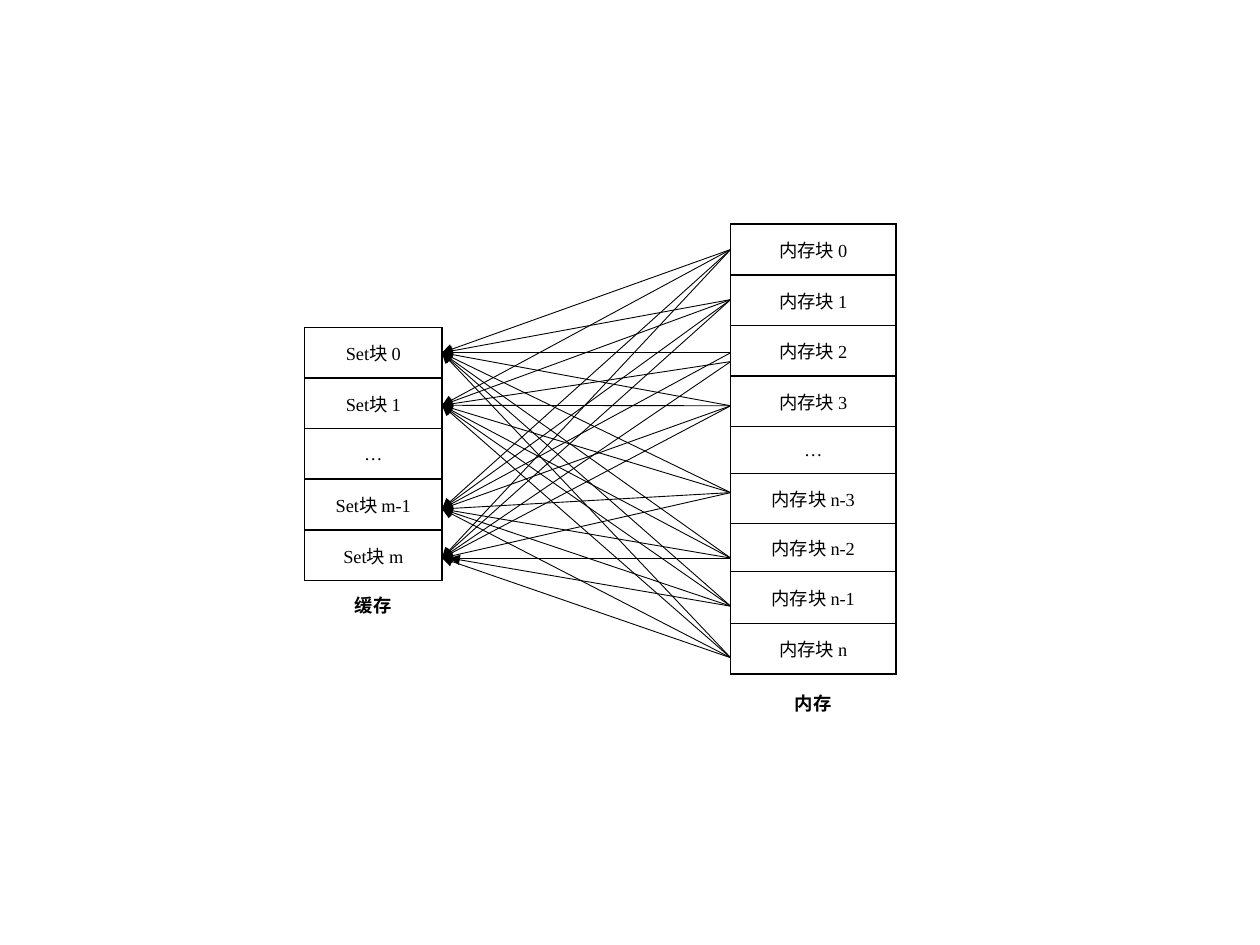
from itertools import product

from pptx import Presentation
from pptx.dml.color import RGBColor as Rgb
from pptx.enum.shapes import MSO_CONNECTOR as Conn
from pptx.enum.text import MSO_ANCHOR as Anchor, PP_ALIGN as Align
from pptx.oxml.ns import qn
from pptx.util import Cm, Pt
from lxml.etree import SubElement as Sub

INK = {"line": "000000", "text": "000000", "fill": "FFFFFF"}
SERIF, SANS = "Times New Roman", "Noto Sans CJK SC"

# Boxes are left, top, width, in centimetres
CACHE = (6.14, 6.6, 2.77)
MEMORY = (14.73, 4.52, 3.33)
SETS = ["Set块 0", "Set块 1", "…", "Set块 m-1", "Set块 m"]
BLOCKS = ["内存块 " + n for n in ("0", "1", "2", "3", "n-3", "n-2", "n-1", "n")]
BLOCKS.insert(4, "…")
ROW = 1.02
HEIGHTS = [ROW] * 4 + [0.95, 1, 0.97, 1.05, ROW]

# Arrow ends, measured down from the top of each box
HEADS = [0.51, 1.57, 3.66, 4.65]
TAILS = [0.51, 1.52, 2.59, 3.66, 5.41, 6.73, 7.7, 8.74]
LOW_TAIL = 2.77  # block 2 leaves lower for every second set


def style(par, font, bold=False):
    par.alignment = Align.CENTER
    for run in par.runs:
        run.font.size = Pt(10.5)
        run.font.bold = bold
        run.font.name = font
        run.font.color.rgb = Rgb.from_string(INK["text"])
        Sub(run._r.get_or_add_rPr(), qn("a:ea"), typeface=SANS)


def border(cell):
    props = cell._tc.get_or_add_tcPr()
    for side in ("lnL", "lnR", "lnT", "lnB"):
        line = Sub(props, qn("a:" + side), w=str(Pt(1)))
        Sub(Sub(line, qn("a:solidFill")), qn("a:srgbClr"), val=INK["line"])


def stack(slide, box, names, heights):
    """Draw a one-column table of blocks."""
    left, top, width = box
    frame = slide.shapes.add_table(len(names), 1, Cm(left), Cm(top),
                                   Cm(width), Cm(sum(heights)))
    table = frame.table
    table.first_row = table.horz_banding = False
    for row, name, height in zip(table.rows, names, heights):
        row.height = Cm(height)
        cell = row.cells[0]
        cell.margin_left = cell.margin_right = Cm(0.18)
        cell.margin_top = cell.margin_bottom = Cm(0.1)
        cell.vertical_anchor = Anchor.MIDDLE
        cell.text_frame.text = name
        style(cell.text_frame.paragraphs[0], SERIF)
        border(cell)
        cell.fill.solid()
        cell.fill.fore_color.rgb = Rgb.from_string(INK["fill"])


def arrow(slide, start, end):
    line = slide.shapes.add_connector(Conn.STRAIGHT, *map(Cm, start + end))
    line.line.width = Pt(0.5)
    line.line.color.rgb = Rgb.from_string(INK["line"])
    Sub(line.line._get_or_add_ln(), qn("a:tailEnd"), type="triangle")
    Sub(line._element.spPr, qn("a:effectLst"))


def fan(slide, cache, memory):
    """Map every memory block to every cache set."""
    right = cache[0] + cache[2]
    for (i, head), (j, tail) in product(enumerate(HEADS), enumerate(TAILS)):
        if j == 2 and i % 2:
            tail = LOW_TAIL
        gap = 0.15 if (i, j) == (3, 6) else 0
        arrow(slide, (memory[0], memory[1] + tail),
              (right + gap, cache[1] + head))


def caption(slide, box, text, drop, width):
    """Centre a label under a box, drop below its top."""
    left = box[0] + (box[2] - width) / 2
    label = slide.shapes.add_textbox(Cm(left), Cm(box[1] + drop),
                                     Cm(width), Cm(0.71))
    label.text_frame.word_wrap = True
    label.text_frame.text = text
    style(label.text_frame.paragraphs[0], SANS, bold=True)


def main():
    deck = Presentation()
    deck.slide_width, deck.slide_height = Cm(25.4), Cm(19.05)
    slide = deck.slides.add_slide(deck.slide_layouts[6])
    stack(slide, CACHE, SETS, [ROW] * len(SETS))
    stack(slide, MEMORY, BLOCKS, HEIGHTS)
    fan(slide, CACHE, MEMORY)
    caption(slide, CACHE, "缓存", 5.26, 1.96)
    caption(slide, MEMORY, "内存", 9.3, 2.54)
    deck.save("out.pptx")


if __name__ == "__main__":
    main()
